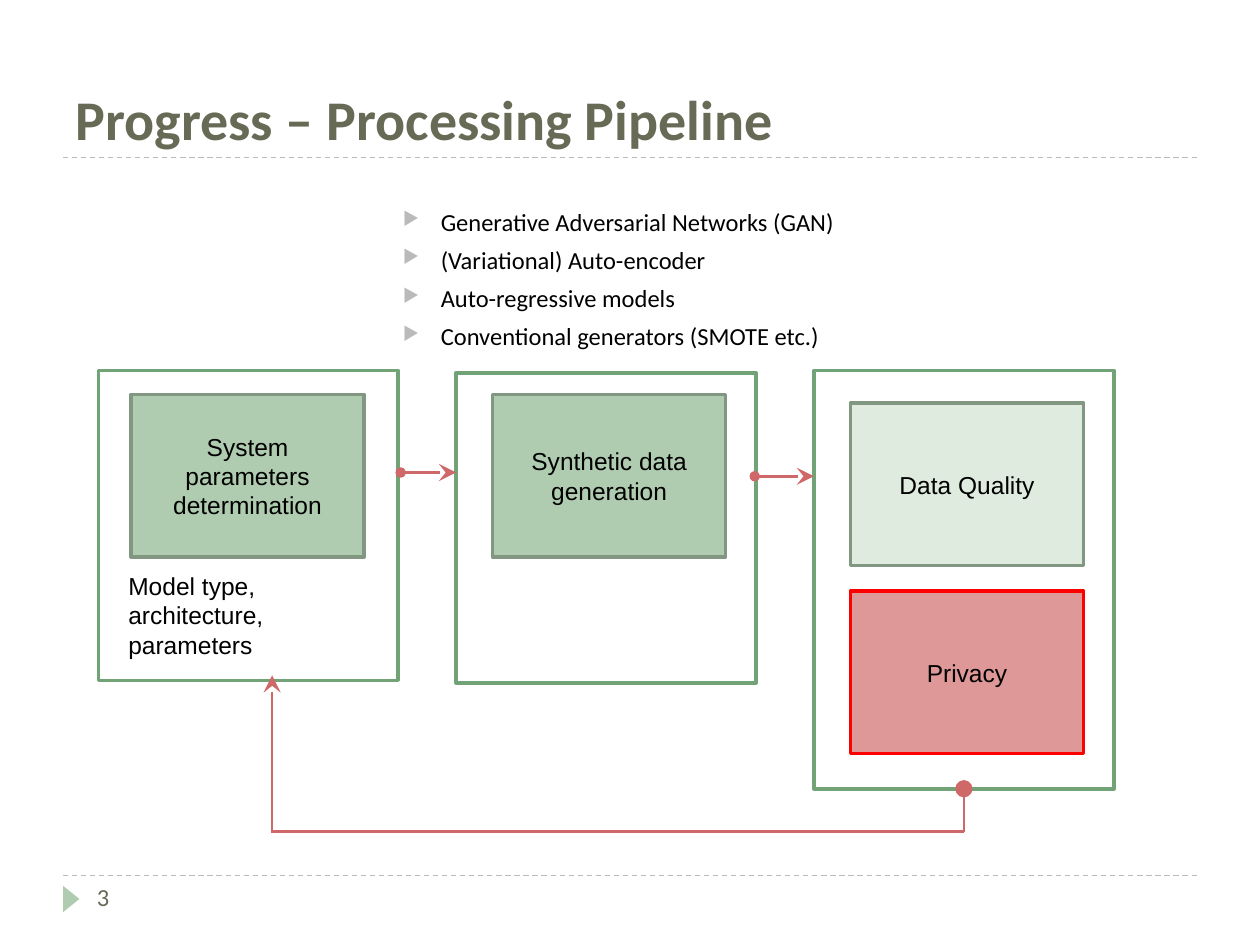
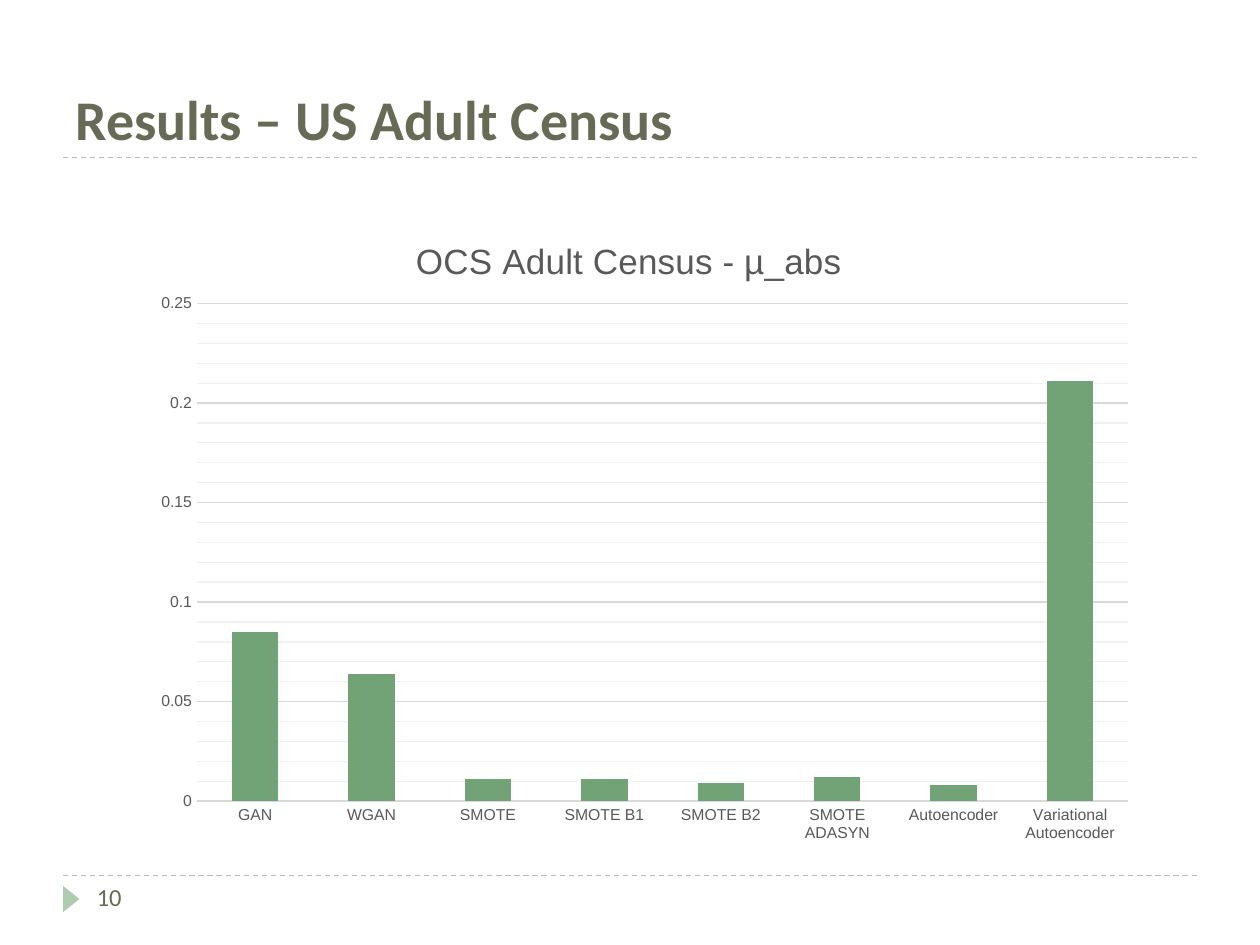
from lxml import etree
from pptx import Presentation
from pptx import util as u
from pptx.chart.data import CategoryChartData
from pptx.dml.color import RGBColor
from pptx.enum import chart as charts, dml, shapes, text
from pptx.oxml import ns

Inches, Pt = u.Inches, u.Pt
SAGE = RGBColor(0xB0, 0xCC, 0xB0)
GREEN = RGBColor(0x72, 0xA3, 0x76)
MOSS = RGBColor(0x82, 0x97, 0x82)
PALE = RGBColor(0xDF, 0xEB, 0xDF)
ROSE = RGBColor(0xDE, 0x98, 0x98)
RED = RGBColor(0xFF, 0, 0)
CORAL = RGBColor(0xCF, 0x68, 0x68)
OLIVE = RGBColor(0x67, 0x6A, 0x55)
GRAY = RGBColor(0xBA, 0xBA, 0xBA)
BLACK = RGBColor(0, 0, 0)
SLATE = RGBColor(0x59, 0x59, 0x59)
GRID = RGBColor(0xD9, 0xD9, 0xD9)
FAINT = RGBColor(0xF2, 0xF2, 0xF2)


def write(shape, words, font="Arial", size=14, color=BLACK, bold=False):
    frame = shape.text_frame
    frame.word_wrap = True
    frame.text = words
    for para in frame.paragraphs:
        for run in para.runs:
            run.font.name = font
            run.font.size = Pt(size)
            run.font.color.rgb = color
            run.font.bold = bold
    return frame


def join(slide, start, end, color, width, head=None, tail=None):
    line = slide.shapes.add_connector(
        shapes.MSO_CONNECTOR.STRAIGHT, *[Inches(n) for n in start + end])
    line.line.color.rgb = color
    line.line.width = Pt(width)
    ln = line.line._get_or_add_ln()
    for tag, end_type in (("a:headEnd", head), ("a:tailEnd", tail)):
        if end_type:
            kind, size = end_type
            etree.SubElement(ln, ns.qn(tag), type=kind, w=size, len=size)
    etree.SubElement(line._element.spPr, ns.qn("a:effectLst"))
    return line


deck = Presentation()
deck.slide_width, deck.slide_height = Inches(10), Inches(7.5)

slides = []
for title, number in (("Progress – Processing Pipeline", "3"),
                      ("Results – US Adult Census", "10")):
    slide = deck.slides.add_slide(deck.slide_layouts[6])
    slides.append(slide)
    for y in (6.95, 1.25):
        rule = join(slide, (0.5, y), (9.5, y), GRAY, 0.75)
        rule.line.dash_style = dml.MSO_LINE.DASH
    mark = slide.shapes.add_shape(
        shapes.MSO_SHAPE.ISOSCELES_TRIANGLE,
        Inches(0.46), Inches(7.07), Inches(0.21), Inches(0.13))
    mark.rotation = 90
    mark.shadow.inherit = False
    mark.fill.solid()
    mark.fill.fore_color.rgb = SAGE
    mark.line.fill.background()
    head = slide.shapes.add_textbox(Inches(0.5), Inches(0.17), Inches(9), Inches(1.08))
    write(head, title, "Calibri", 32, OLIVE, True).vertical_anchor = text.MSO_ANCHOR.BOTTOM
    foot = slide.shapes.add_textbox(Inches(0.67), Inches(6.95), Inches(2.17), Inches(0.4))
    write(foot, number, "Calibri", 14, OLIVE)

flow, result = slides

steps = [
    ("System parameters determination", 1.04, 3.13, 1.85, 1.29, SAGE, MOSS),
    ("Synthetic data generation", 3.91, 3.13, 1.85, 1.29, SAGE, MOSS),
    ("Data Quality", 6.75, 3.2, 1.85, 1.29, PALE, MOSS),
    ("Privacy", 6.75, 4.69, 1.85, 1.29, ROSE, RED),
    ("", 0.78, 2.94, 2.38, 2.46, None, GREEN),
    ("", 3.62, 2.96, 2.38, 2.46, None, GREEN),
    ("", 6.46, 2.94, 2.38, 3.32, None, GREEN),
]
for words, x, y, w, h, fill, edge in steps:
    box = flow.shapes.add_shape(
        shapes.MSO_SHAPE.RECTANGLE, Inches(x), Inches(y), Inches(w), Inches(h))
    box.shadow.inherit = False
    box.line.color.rgb = edge
    box.line.width = Pt(2)
    if fill is None:
        box.fill.background()
        continue
    box.fill.solid()
    box.fill.fore_color.rgb = fill
    frame = write(box, words)
    frame.vertical_anchor = text.MSO_ANCHOR.MIDDLE
    frame.paragraphs[0].alignment = text.PP_ALIGN.CENTER

note = flow.shapes.add_textbox(Inches(0.92), Inches(4.48), Inches(2.09), Inches(0.81))
write(note, "Model type, architecture, parameters")

arrow = ("stealth", "lg")
dot = ("oval", "med")
join(flow, (3.18, 3.75), (3.62, 3.75), CORAL, 1.5, dot, arrow)
join(flow, (5.99, 3.78), (6.46, 3.78), CORAL, 1.5, dot, arrow)
drop = join(flow, (7.65, 6.26), (7.65, 6.6), CORAL, 1.5, ("oval", "lg"))
drop.begin_connect(box, 2)
join(flow, (7.65, 6.6), (2.15, 6.6), CORAL, 1.5)
join(flow, (2.16, 6.6), (2.16, 5.36), CORAL, 1.5, None, arrow)

models = flow.shapes.add_textbox(Inches(2.5), Inches(1.59), Inches(5), Inches(1.25))
frame = write(models, "\n".join([
    "Generative Adversarial Networks (GAN)",
    "(Variational) Auto-encoder",
    "Auto-regressive models",
    "Conventional generators (SMOTE etc.)",
]), "Calibri")
for para in frame.paragraphs:
    para.space_before = Pt(5)
    props = para._p.get_or_add_pPr()
    props.set("marL", str(Inches(0.9)))
    props.set("indent", str(Inches(-0.3)))
    tint = etree.SubElement(props, ns.qn("a:buClr"))
    etree.SubElement(tint, ns.qn("a:srgbClr"), val=str(GRAY))
    etree.SubElement(props, ns.qn("a:buSzPct"), val="76000")
    etree.SubElement(props, ns.qn("a:buChar"), char="▶")

data = CategoryChartData()
data.categories = ["GAN", "WGAN", "SMOTE", "SMOTE B1", "SMOTE B2",
                   "SMOTE ADASYN", "Autoencoder", "Variational Autoencoder"]
data.add_series("Series 1", (0.085, 0.064, 0.011, 0.011, 0.009, 0.012, 0.008, 0.211))
chart = result.shapes.add_chart(
    charts.XL_CHART_TYPE.COLUMN_STACKED,
    Inches(0.92), Inches(1.64), Inches(8.04), Inches(5.13), data).chart
chart.font.name = "Arial"
chart.font.size = Pt(10)
chart.font.color.rgb = BLACK
chart.has_legend = False
chart.has_title = True
write(chart.chart_title, "OCS Adult Census - µ_abs", size=20, color=SLATE)

plot = chart.plots[0]
plot.gap_width = 150
plot.overlap = 100
plot.vary_by_categories = False
bars = plot.series[0].format.fill
bars.solid()
bars.fore_color.rgb = GREEN

cats, vals = chart.category_axis, chart.value_axis
for axis in (cats, vals):
    axis.major_tick_mark = axis.minor_tick_mark = charts.XL_TICK_MARK.NONE
    font = axis.tick_labels.font
    font.name = "Arial"
    font.size = Pt(9)
    font.color.rgb = SLATE
vals.minimum_scale, vals.maximum_scale = 0, 0.25
vals.major_unit, vals.minor_unit = 0.05, 0.01
vals.has_major_gridlines = vals.has_minor_gridlines = True
vals.tick_labels.number_format = "General"
vals.tick_labels.number_format_is_linked = False
vals.format.line.fill.background()
for line in (cats.format.line, vals.major_gridlines.format.line):
    line.color.rgb = GRID
    line.width = Pt(0.75)

root = chart.element
minor = root.find(".//" + ns.qn("c:minorGridlines"))
look = etree.SubElement(minor, ns.qn("c:spPr"))
ln = etree.SubElement(look, ns.qn("a:ln"), w=str(Pt(0.75)))
solid = etree.SubElement(ln, ns.qn("a:solidFill"))
etree.SubElement(solid, ns.qn("a:srgbClr"), val=str(FAINT))

for tag, spot, places in (
        ("c:title", 1, {"xMode": "edge", "yMode": "edge", "x": 0.29, "y": 0.04}),
        ("c:plotArea", 0, {"layoutTarget": "inner", "xMode": "edge", "yMode": "edge",
                           "x": 0.08, "y": 0.15, "w": 0.92, "h": 0.77})):
    part = root.find(".//" + ns.qn(tag))
    for old in part.findall(ns.qn("c:layout")):
        part.remove(old)
    layout = etree.Element(ns.qn("c:layout"))
    part.insert(spot, layout)
    manual = etree.SubElement(layout, ns.qn("c:manualLayout"))
    for key, val in places.items():
        etree.SubElement(manual, ns.qn("c:" + key), val=str(val))

deck.save("out.pptx")
